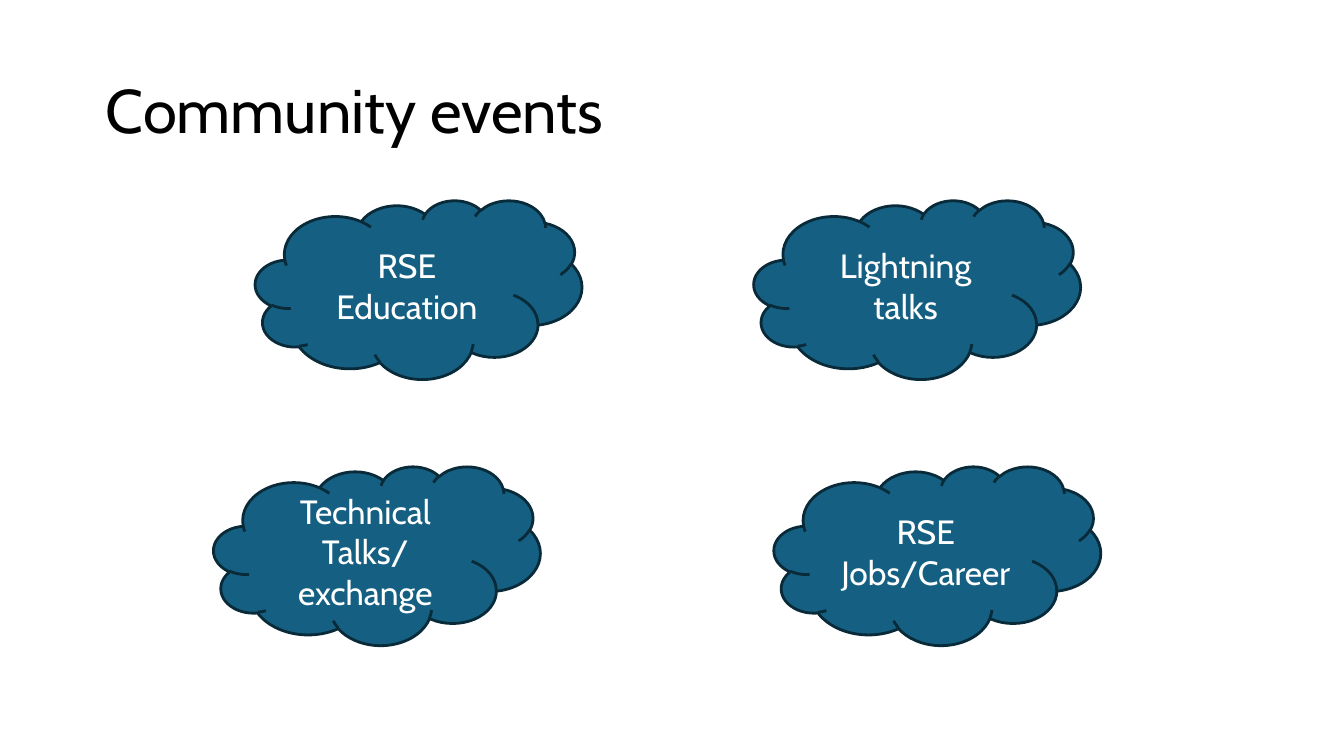
from dataclasses import dataclass

from pptx import Presentation
from pptx.dml.color import RGBColor
from pptx.enum.shapes import MSO_SHAPE
from pptx.enum.text import MSO_ANCHOR, PP_ALIGN
from pptx.slide import Slide
from pptx.text.text import TextFrame
from pptx.util import Inches, Pt

CLOUD = MSO_SHAPE.CLOUD
MIDDLE = MSO_ANCHOR.MIDDLE
LEFT, CENTER = PP_ALIGN.LEFT, PP_ALIGN.CENTER

FONT = "Cabin"
COLORS = {"title": "000000", "fill": "156082", "line": "092A39", "label": "FFFFFF"}
WIDTH, HEIGHT = 2.43, 1.33
TOP_ROW, LOW_ROW = 1.49, 3.47


@dataclass
class Event:
    label: str
    left: float
    top: float


EVENTS = [
    Event("RSE Education", 1.9, TOP_ROW),
    Event("Lightning talks", 5.61, TOP_ROW),
    Event("Technical Talks/ exchange", 1.59, LOW_ROW),
    Event("RSE Jobs/Career", 5.76, LOW_ROW),
]


def color(name: str) -> RGBColor:
    return RGBColor.from_string(COLORS[name])


def write(frame: TextFrame, text: str, size: float, tint: str, align: PP_ALIGN) -> None:
    frame.text = text
    frame.word_wrap = True
    frame.vertical_anchor = MIDDLE
    frame.margin_left = frame.margin_right = Inches(0.1)
    frame.margin_top = frame.margin_bottom = Inches(0.05)
    line = frame.paragraphs[0]
    line.alignment = align
    font = line.runs[0].font
    font.name, font.size = FONT, Pt(size)
    font.color.rgb = color(tint)


def add_title(slide: Slide, text: str) -> None:
    box = slide.shapes.add_textbox(Inches(0.69), Inches(0.3), Inches(8.62), Inches(1.09))
    write(box.text_frame, text, 33, "title", LEFT)
    box.text_frame.paragraphs[0].line_spacing = 0.9


def add_cloud(slide: Slide, event: Event) -> None:
    cloud = slide.shapes.add_shape(
        CLOUD, Inches(event.left), Inches(event.top), Inches(WIDTH), Inches(HEIGHT)
    )
    cloud.shadow.inherit = False
    cloud.fill.solid()
    cloud.fill.fore_color.rgb = color("fill")
    cloud.line.color.rgb = color("line")
    cloud.line.width = Pt(1.5)
    write(cloud.text_frame, event.label, 18, "label", CENTER)


def main() -> None:
    deck = Presentation()
    deck.slide_width = Inches(10)
    deck.slide_height = Inches(10 * 9 / 16)
    slide = deck.slides.add_slide(deck.slide_layouts[6])
    add_title(slide, "Community events")
    for event in EVENTS:
        add_cloud(slide, event)
    deck.save("out.pptx")


if __name__ == "__main__":
    main()
